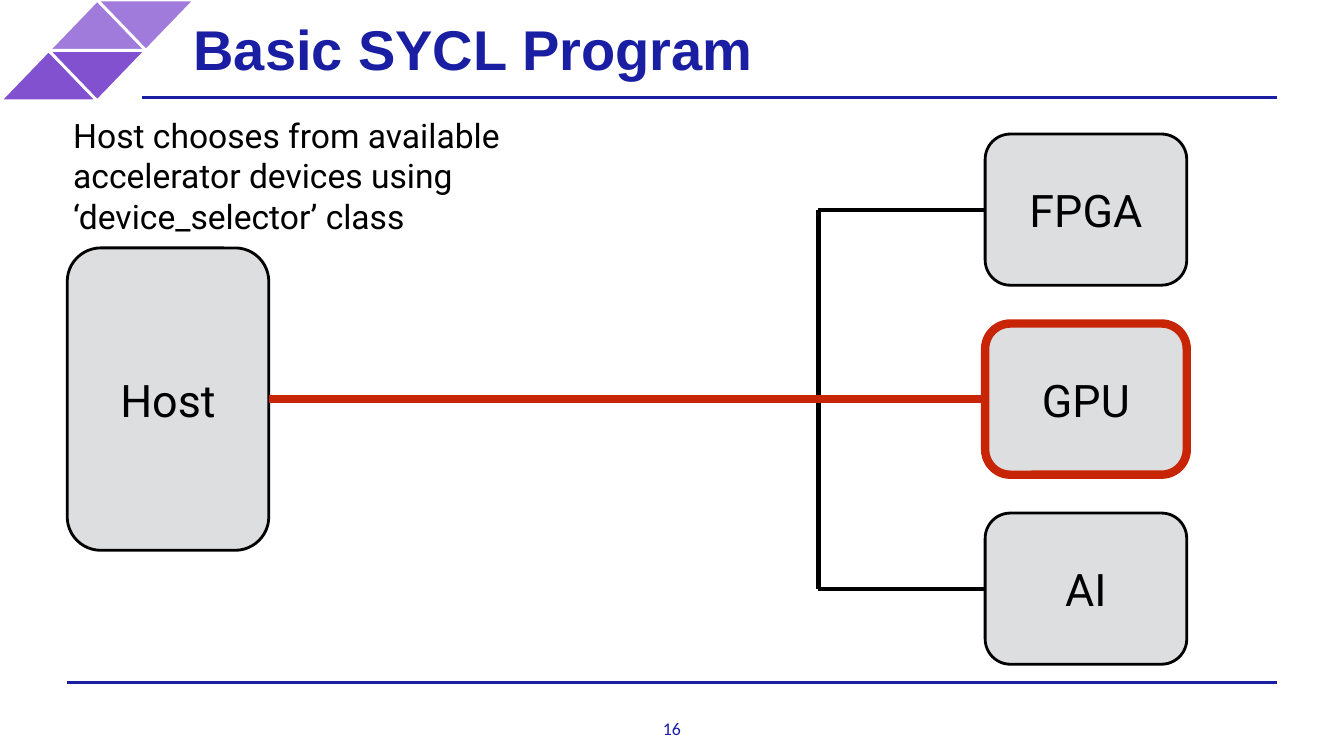
import dataclasses

import pptx
import pptx.dml.color
import pptx.enum.shapes
import pptx.enum.text
import pptx.oxml.ns
import pptx.util
from lxml import etree

SHAPES = pptx.enum.shapes.MSO_SHAPE
ALIGN = pptx.enum.text.PP_ALIGN
ANCHOR = pptx.enum.text.MSO_ANCHOR


@dataclasses.dataclass(frozen=True)
class Theme:
    """Colours, fonts and type sizes of the slide."""

    navy: str = "191EA2"
    light_purple: str = "A07BDB"
    dark_purple: str = "8151CF"
    white: str = "FFFFFF"
    black: str = "000000"
    grey: str = "DCDEE0"
    red: str = "C82506"
    title_font: str = "Arial"
    body_font: str = "Roboto"
    number_font: str = "Calibri"
    title_size: float = 40
    label_size: float = 32
    note_size: float = 24
    number_size: float = 12.7


THEME = Theme()
WIDTH = pptx.util.Inches(13.33)
HEIGHT = pptx.util.Inches(7.5)
LEFT, RIGHT = 5, 95
BOX_WIDTH, BOX_HEIGHT = 15, 20
HOST_HEIGHT = 2 * BOX_HEIGHT
MIDDLE = 52.8
DEVICE_LEFT, DEVICE_STEP = 73.3, 25.07
BUS = 60.9
DEVICES = ("FPGA", "GPU", "AI")


def across(share):
    """Turn a percentage of the slide width into a length."""
    return int(WIDTH * share / 100)


def down(share):
    """Turn a percentage of the slide height into a length."""
    return int(HEIGHT * share / 100)


def place(left, top, width, height):
    """Turn a box in percentages into lengths."""
    return across(left), down(top), across(width), down(height)


def apply_format(target, values):
    """Set every attribute named in the dict of values."""
    for name, value in values.items():
        setattr(target, name, value)


def set_line(line, color, weight):
    """Colour a line and give it a weight in points."""
    line.color.rgb = pptx.dml.color.RGBColor.from_string(color)
    line.width = pptx.util.Pt(weight)


def write_text(shape, text, font, size, color, bold=False, align=ALIGN.LEFT,
               anchor=ANCHOR.MIDDLE, inset=0.06):
    """Write one formatted paragraph into a shape."""
    frame = shape.text_frame
    sides = ("margin_left", "margin_top", "margin_right", "margin_bottom")
    apply_format(frame, dict.fromkeys(sides, pptx.util.Inches(inset)))
    apply_format(frame, {"word_wrap": True, "vertical_anchor": anchor})
    paragraph = frame.paragraphs[0]
    paragraph.alignment = align
    run = paragraph.add_run()
    run.text = text
    apply_format(run.font, {"name": font, "size": pptx.util.Pt(size), "bold": bold})
    run.font.color.rgb = pptx.dml.color.RGBColor.from_string(color)


def add_text(slide, box, text, **style):
    """Add a text box with one paragraph."""
    write_text(slide.shapes.add_textbox(*place(*box)), text, **style)


def add_outlined(slide, kind, box, fill, color, weight):
    """Add a preset shape with an outline and an optional fill."""
    shape = slide.shapes.add_shape(kind, *place(*box))
    shape.shadow.inherit = False
    if fill:
        shape.fill.solid()
        shape.fill.fore_color.rgb = pptx.dml.color.RGBColor.from_string(fill)
    else:
        shape.fill.background()
    set_line(shape.line, color, weight)
    return shape


def add_node(slide, box, label):
    """Add a grey rounded box with a centred label."""
    shape = add_outlined(slide, SHAPES.ROUNDED_RECTANGLE, box, THEME.grey, THEME.black, 2)
    write_text(shape, label, THEME.body_font, THEME.label_size, THEME.black,
               align=ALIGN.CENTER)


def add_line(slide, start, end, color, weight):
    """Add a straight line between two points."""
    connector = slide.shapes.add_connector(
        pptx.enum.shapes.MSO_CONNECTOR.STRAIGHT,
        across(start[0]), down(start[1]), across(end[0]), down(end[1]))
    set_line(connector.line, color, weight)
    properties = connector._element.spPr
    etree.SubElement(properties, pptx.oxml.ns.qn("a:effectLst"))


def add_triangles(slide):
    """Add the slanted block of four triangles in the corner."""
    width, height = 7.24, 6.67
    for row, color in enumerate((THEME.light_purple, THEME.dark_purple)):
        for column, rotation in enumerate((0, 180)):
            left = (1 - row + column) * width / 2
            triangle = add_outlined(slide, SHAPES.ISOSCELES_TRIANGLE,
                                    (left, row * height, width, height),
                                    color, THEME.white, 2)
            triangle.rotation = rotation


def add_frame(slide):
    """Add the title, rules, corner block and slide number."""
    add_line(slide, (LEFT, 90.27), (RIGHT, 90.27), THEME.navy, 2)
    add_triangles(slide)
    add_line(slide, (10.6, 12.93), (RIGHT, 12.93), THEME.navy, 2)
    add_text(slide, (13.35, 0, 60, 12.67), "Basic SYCL Program",
             font=THEME.title_font, size=THEME.title_size, color=THEME.navy,
             bold=True, inset=0.14)
    add_text(slide, (48, 94.93, 4, 2.8), "16",
             font=THEME.number_font, size=THEME.number_size, color=THEME.navy,
             align=ALIGN.CENTER, anchor=ANCHOR.TOP, inset=0)


def add_diagram(slide):
    """Add the host, its devices and the chosen connection."""
    host_right = LEFT + BOX_WIDTH
    add_node(slide, (LEFT, MIDDLE - HOST_HEIGHT / 2, BOX_WIDTH, HOST_HEIGHT), "Host")
    centres = [MIDDLE + (index - 1) * DEVICE_STEP for index in range(len(DEVICES))]
    for device, centre in zip(DEVICES, centres):
        add_node(slide, (DEVICE_LEFT, centre - BOX_HEIGHT / 2, BOX_WIDTH, BOX_HEIGHT), device)
    add_text(slide, (LEFT, 17.07, 45.4, 12.27),
             "Host chooses from available accelerator devices using ‘device_selector’ class",
             font=THEME.body_font, size=THEME.note_size, color=THEME.black)
    for centre in (centres[0], centres[-1]):
        add_line(slide, (DEVICE_LEFT, centre), (BUS, centre), THEME.black, 3)
    add_line(slide, (BUS, centres[0]), (BUS, centres[-1]), THEME.black, 3)
    for color, weight in ((THEME.black, 3), (THEME.red, 6)):
        add_line(slide, (host_right, MIDDLE), (DEVICE_LEFT, MIDDLE), color, weight)
    add_outlined(slide, SHAPES.ROUNDED_RECTANGLE,
                 (DEVICE_LEFT, MIDDLE - BOX_HEIGHT / 2, BOX_WIDTH, BOX_HEIGHT),
                 None, THEME.red, 6)


def main():
    """Build the slide and save it."""
    presentation = pptx.Presentation()
    apply_format(presentation, {"slide_width": WIDTH, "slide_height": HEIGHT})
    slide = presentation.slides.add_slide(presentation.slide_layouts[6])
    add_frame(slide)
    add_diagram(slide)
    presentation.save("out.pptx")


if __name__ == "__main__":
    main()
